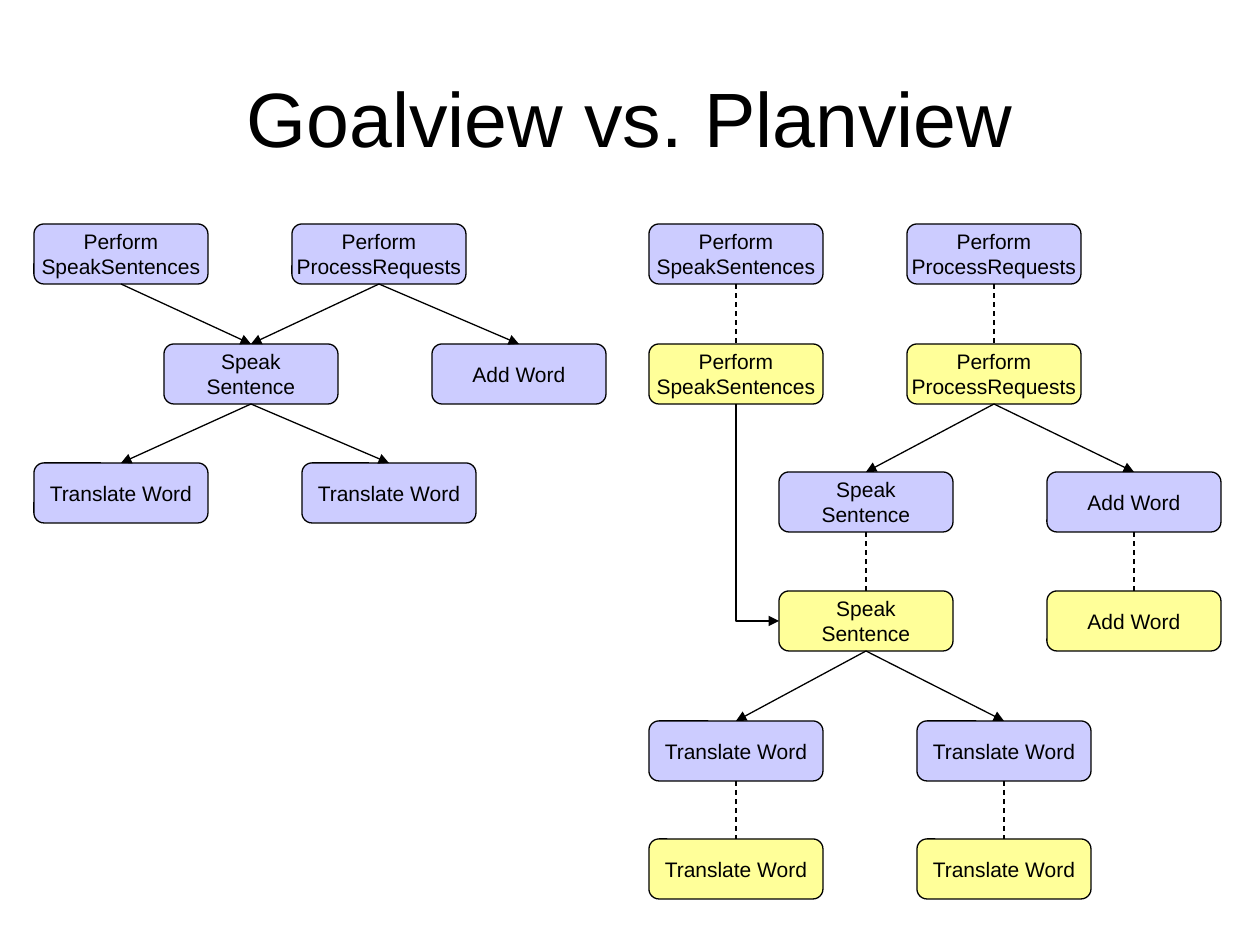
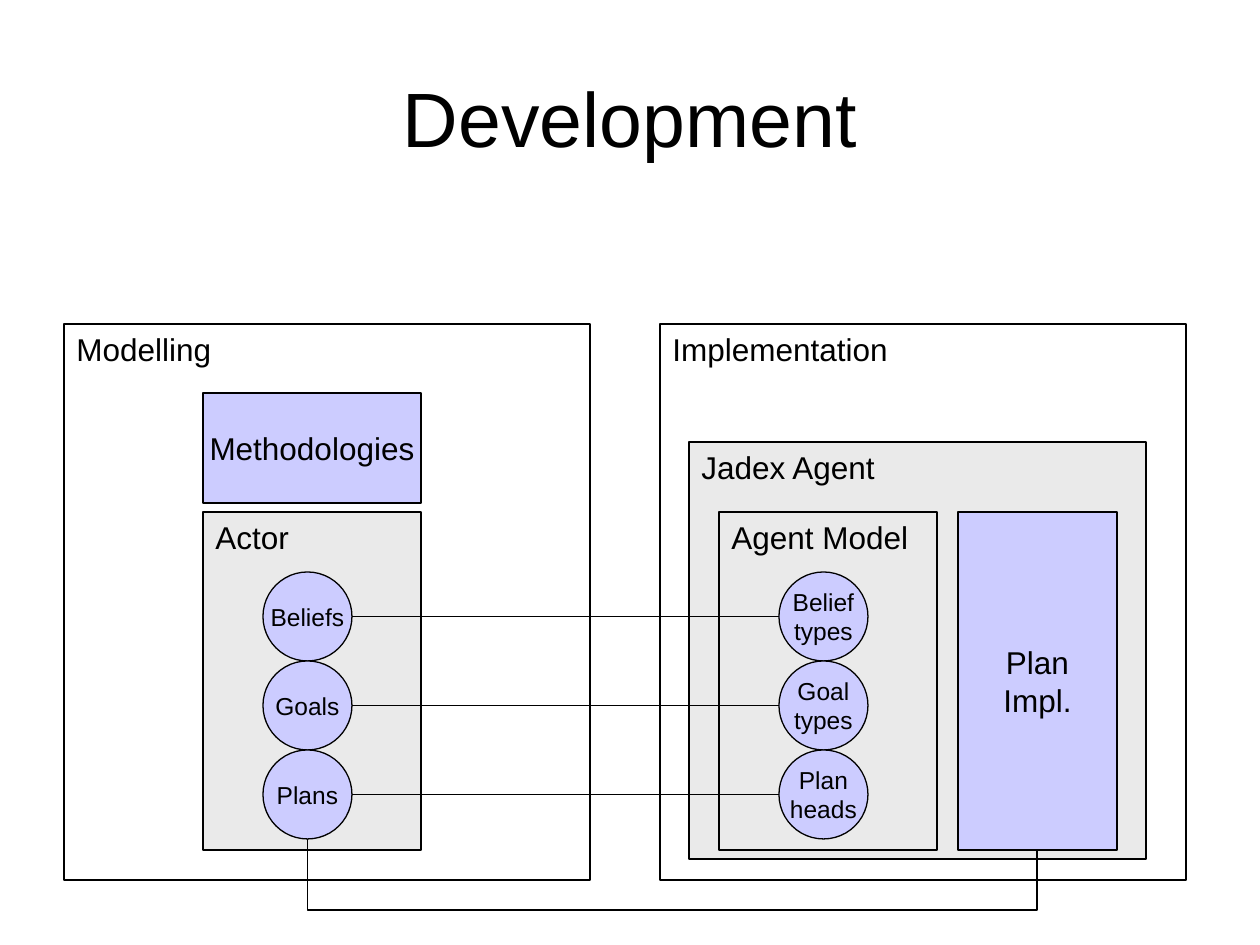
"""Build two slides: goal view against plan view, and the development overview."""
from lxml import etree
from pptx import Presentation
from pptx.dml.color import RGBColor
from pptx.enum.dml import MSO_LINE
from pptx.enum.shapes import MSO_CONNECTOR, MSO_SHAPE
from pptx.enum.text import MSO_ANCHOR, PP_ALIGN
from pptx.oxml.ns import qn
from pptx.util import Pt

PX = 914400 / 126
STRAIGHT, ELBOW = MSO_CONNECTOR.STRAIGHT, MSO_CONNECTOR.ELBOW
RECT, ROUND, OVAL = MSO_SHAPE.RECTANGLE, MSO_SHAPE.ROUNDED_RECTANGLE, MSO_SHAPE.OVAL
TOP, MIDDLE = MSO_ANCHOR.TOP, MSO_ANCHOR.MIDDLE
LEFT, CENTER = PP_ALIGN.LEFT, PP_ALIGN.CENTER
DASH = MSO_LINE.DASH
SIDE_TOP, SIDE_BOTTOM = 0, 2

FONT = "Arial"
BLACK, WHITE, GREY = "000000", "FFFFFF", "EAEAEA"
LILAC, YELLOW = "CCCCFF", "FFFF99"
GOAL, PLAN = LILAC, YELLOW

SPEAK_ALL = "Perform\nSpeakSentences"
PROCESS = "Perform\nProcessRequests"
SPEAK = "Speak\nSentence"
ADD = "Add Word"
TRANSLATE = "Translate Word"

NODE_W, NODE_H = 174, 60
NODE_X = {"speak all": 34, "process": 292, "speak": 164, "add": 432,
          "translate 1": 34, "translate 2": 302}
NODE_TEXT = {"speak all": SPEAK_ALL, "process": PROCESS, "speak": SPEAK,
             "add": ADD, "translate 1": TRANSLATE, "translate 2": TRANSLATE}
PLAN_VIEW_SHIFT = 615
GOAL_VIEW_ROWS = [
    (224, ["speak all", "process"]),
    (344, ["speak", "add"]),
    (463, ["translate 1", "translate 2"]),
]
PLAN_VIEW_ROWS = [
    (224, 344, ["speak all", "process"]),
    (472, 591, ["speak", "add"]),
    (721, 839, ["translate 1", "translate 2"]),
]
SUBGOALS = [("process", "speak"), ("process", "add"),
            ("speak", "translate 1"), ("speak", "translate 2")]

PANELS = [
    ("Modelling", 64, 324, 526, 556, WHITE),
    ("Implementation", 660, 324, 526, 556, WHITE),
    ("Jadex Agent", 689, 442, 457, 417, GREY),
    ("Agent Model", 719, 512, 218, 338, GREY),
    ("Actor", 203, 512, 218, 338, GREY),
]
BLOCKS = [
    ("Methodologies", 203, 393, 218, 110),
    ("Plan\nImpl.", 958, 512, 159, 338),
]
CONCEPTS = [("Beliefs", "Belief\ntypes"), ("Goals", "Goal\ntypes"),
            ("Plans", "Plan\nheads")]
CONCEPT_D, CONCEPT_TOP, ACTOR_X, MODEL_X = 89, 572, 263, 779
PLAN_LINK_END, PLAN_LINK_LOW = (1037, 850), 910


def px(n):
    return round(n * PX)


def rgb(color):
    return RGBColor.from_string(color)


def write(sp, text, size, align=CENTER, anchor=MIDDLE, wrap=False):
    tf = sp.text_frame
    tf.word_wrap = wrap
    tf.vertical_anchor = anchor
    tf.text = text
    for p in tf.paragraphs:
        p.alignment = align
        p.font.name = FONT
        p.font.size = Pt(size)
        p.font.color.rgb = rgb(BLACK)


def add_slide(prs, title):
    s = prs.slides.add_slide(prs.slide_layouts[6])
    sp = s.shapes.add_textbox(px(63), px(38), px(1134), px(157))
    write(sp, title, 44, wrap=True)
    return s


def add_box(s, kind, text, x, y, w, h, fill, size, **style):
    sp = s.shapes.add_shape(kind, px(x), px(y), px(w), px(h))
    sp.shadow.inherit = False
    sp.fill.solid()
    sp.fill.fore_color.rgb = rgb(fill)
    sp.line.color.rgb = rgb(BLACK)
    sp.line.width = Pt(0.75)
    write(sp, text, size, **style)
    return sp


def add_line(s, start=(0, 0), end=(0, 0), kind=STRAIGHT, arrow=False, dash=None):
    cx = s.shapes.add_connector(kind, *map(px, start + end))
    cx.line.color.rgb = rgb(BLACK)
    cx.line.width = Pt(0.75)
    if dash:
        cx.line.dash_style = dash
    props = cx._element.spPr
    if arrow:
        etree.SubElement(props.find(qn("a:ln")), qn("a:tailEnd"), type="triangle")
    etree.SubElement(props, qn("a:effectLst"))
    return cx


def join(s, upper, lower, **style):
    cx = add_line(s, **style)
    cx.begin_connect(upper, SIDE_BOTTOM)
    cx.end_connect(lower, SIDE_TOP)


def add_elbow(s, start, end, low=None, arrow=False):
    """Leave start downwards, then turn right; with low, run along it and come back up."""
    cx = add_line(s, start, end, ELBOW, arrow)
    (x1, y1), (x2, y2) = start, end
    w, h = y2 - y1, x2 - x1
    cx.left, cx.top = px((x1 + x2 - w) / 2), px((y1 + y2 - h) / 2)
    cx.width, cx.height = px(w), px(h)
    props = cx._element.spPr
    xfrm = props.find(qn("a:xfrm"))
    xfrm.set("rot", "16200000")
    xfrm.set("flipH", "1")
    geom = props.find(qn("a:prstGeom"))
    if low is None:
        geom.set("prst", "bentConnector2")
    else:
        ratio = round((low - y1) / w * 100000)
        etree.SubElement(geom.find(qn("a:avLst")), qn("a:gd"),
                         name="adj1", fmla=f"val {ratio}")


def add_nodes(s, names, y, fill, shift=0):
    return {name: add_box(s, ROUND, NODE_TEXT[name], NODE_X[name] + shift, y,
                          NODE_W, NODE_H, fill, 12) for name in names}


def build_views(prs):
    s = add_slide(prs, "Goalview vs. Planview")
    nodes = {}
    for y, names in GOAL_VIEW_ROWS:
        nodes.update(add_nodes(s, names, y, GOAL))
    for parent, child in [("speak all", "speak")] + SUBGOALS:
        join(s, nodes[parent], nodes[child], arrow=True)

    goals, plans = {}, {}
    for goal_y, plan_y, names in PLAN_VIEW_ROWS:
        goals.update(add_nodes(s, names, goal_y, GOAL, PLAN_VIEW_SHIFT))
        plans.update(add_nodes(s, names, plan_y, PLAN, PLAN_VIEW_SHIFT))
    for name in goals:
        join(s, goals[name], plans[name], dash=DASH)
    for parent, child in SUBGOALS:
        join(s, plans[parent], goals[child], arrow=True)
    start_x = NODE_X["speak all"] + PLAN_VIEW_SHIFT + NODE_W // 2
    end_x = NODE_X["speak"] + PLAN_VIEW_SHIFT
    start_y = PLAN_VIEW_ROWS[0][1] + NODE_H
    end_y = PLAN_VIEW_ROWS[1][1] + NODE_H // 2
    add_elbow(s, (start_x, start_y), (end_x, end_y), arrow=True)


def build_development(prs):
    s = add_slide(prs, "Development")
    for text, x, y, w, h, fill in PANELS:
        add_box(s, RECT, text, x, y, w, h, fill, 18, align=LEFT, anchor=TOP)
    for text, x, y, w, h in BLOCKS:
        add_box(s, RECT, text, x, y, w, h, LILAC, 18)
    for i, (concept, element) in enumerate(CONCEPTS):
        y = CONCEPT_TOP + i * CONCEPT_D
        for text, x in ((concept, ACTOR_X), (element, MODEL_X)):
            add_box(s, OVAL, text, x, y, CONCEPT_D, CONCEPT_D, LILAC, 14)
        mid = y + CONCEPT_D / 2
        add_line(s, (ACTOR_X + CONCEPT_D, mid), (MODEL_X, mid))
    start = (ACTOR_X + CONCEPT_D / 2, CONCEPT_TOP + len(CONCEPTS) * CONCEPT_D)
    add_elbow(s, start, PLAN_LINK_END, PLAN_LINK_LOW)


def main():
    prs = Presentation()
    prs.slide_width, prs.slide_height = px(1260), px(945)
    build_views(prs)
    build_development(prs)
    prs.save("out.pptx")


if __name__ == "__main__":
    main()
